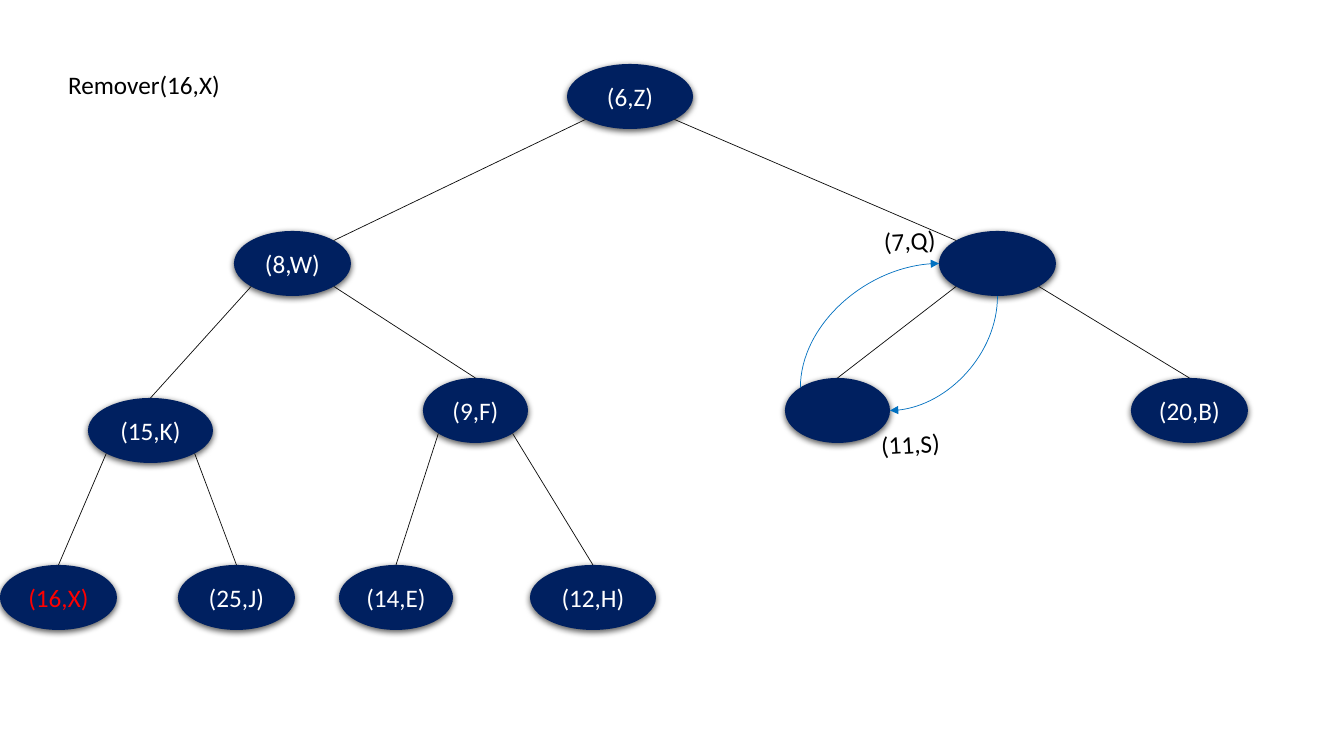
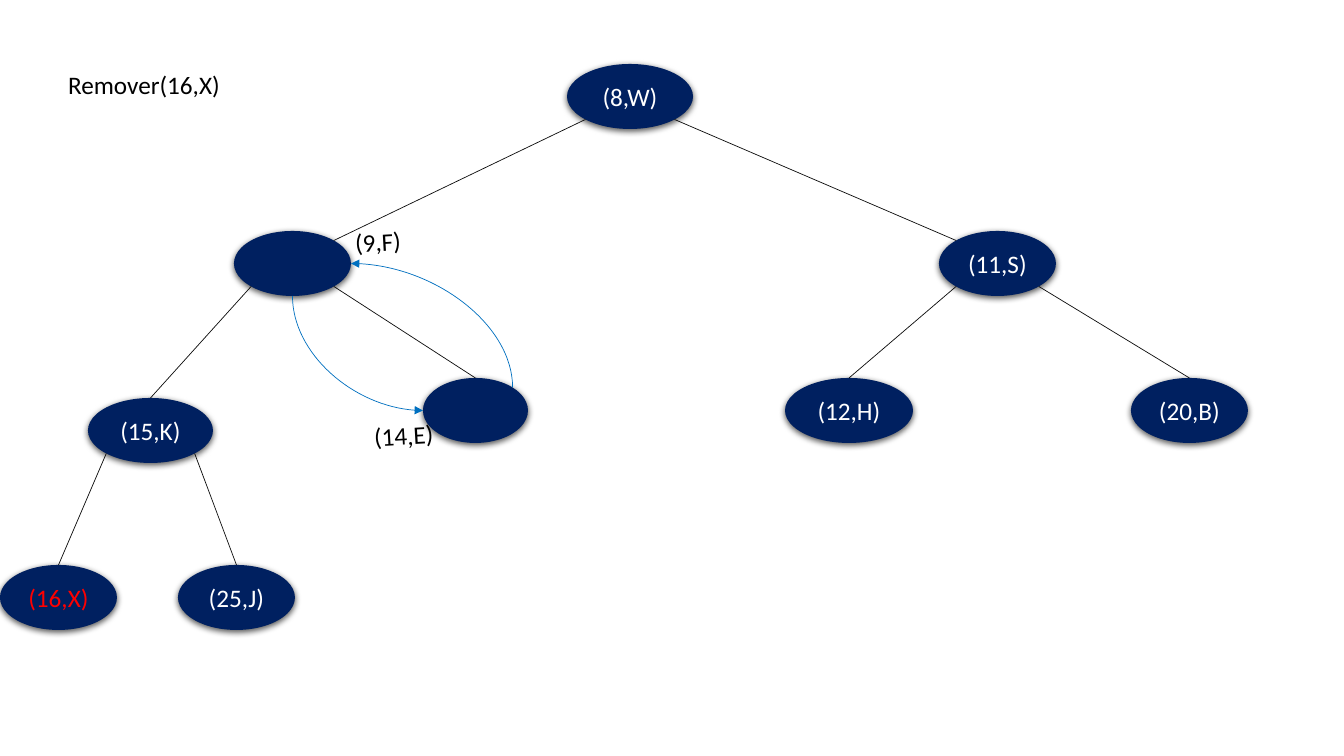
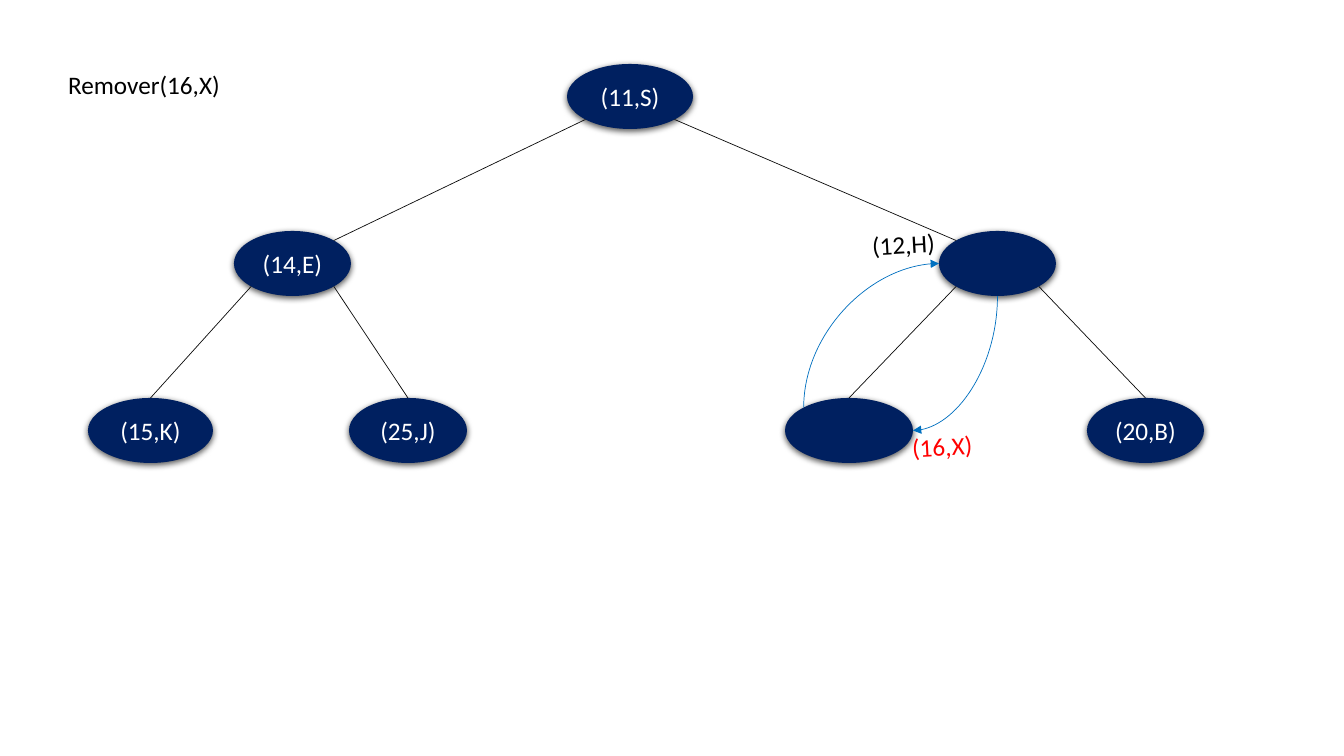
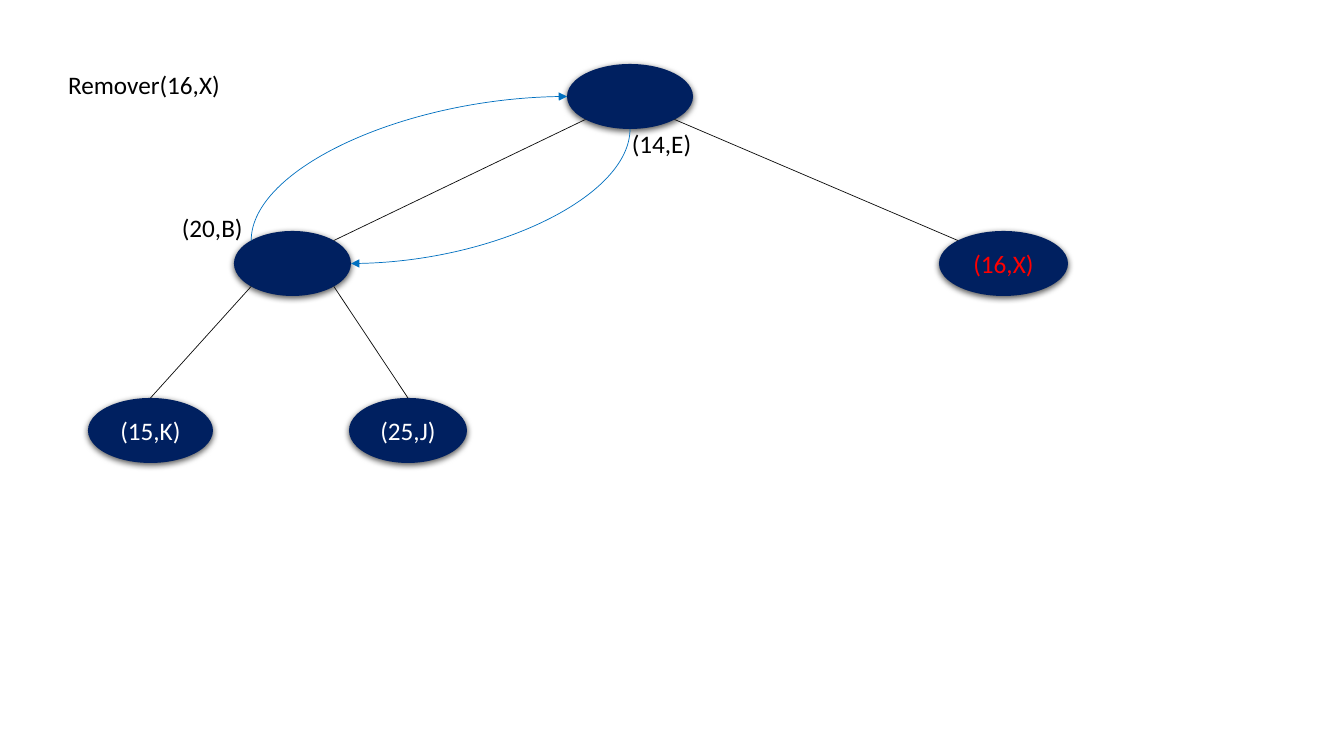
"""Four steps of removing (16,X) from a heap drawn as a binary tree."""
from math import cos, pi, sin

from lxml.etree import SubElement
from pptx import Presentation
from pptx.dml.color import RGBColor
from pptx.enum.shapes import MSO_CONNECTOR, MSO_SHAPE
from pptx.enum.text import MSO_ANCHOR, MSO_AUTO_SIZE, PP_ALIGN
from pptx.oxml.ns import qn
from pptx.util import Pt

COLORS = {"node": "002060", "node_text": "FFFFFF", "text": "000000",
          "removed": "FF0000", "edge": "0D0D0D", "swap": "0070C0"}
FONT = "Calibri"
PX = 12192000 / 1344
NODE_HEIGHT = 65
LABEL_HEIGHT = 40
REMOVED = "(16,X)"
TOP, TOP_LEFT, LEFT, BOTTOM_LEFT, BOTTOM, BOTTOM_RIGHT, RIGHT, TOP_RIGHT = range(8)

SEATS = {0: (567, 64, 126), 1: (234, 231, 117), 2: (939, 231, 117),
         3: (88, 398, 125), 4: (423, 378, 105), 5: (785, 378, 105),
         6: (1131, 378, 117), 7: (0, 565, 117), 8: (178, 565, 117),
         9: (339, 565, 114), 10: (530, 565, 126)}

STEPS = [
    {"keys": ["(6,Z)", "(8,W)", "", "(15,K)", "(9,F)", "", "(20,B)",
              "(16,X)", "(25,J)", "(14,E)", "(12,H)"],
     "moved": {}, "swapped": 5, "tilt": 356.8,
     "labels": [("(11,S)", 871, 423, 94), ("(7,Q)", 874, 220, 78)]},
    {"keys": ["(8,W)", "", "(11,S)", "(15,K)", "", "(12,H)", "(20,B)",
              "(16,X)", "(25,J)"],
     "moved": {5: (785, 378, 128)}, "swapped": 4, "tilt": 356.8,
     "labels": [("(9,F)", 345, 221, 85), ("(14,E)", 364, 415, 85)]},
    {"keys": ["(11,S)", "(14,E)", "", "(15,K)", "(25,J)", "", "(20,B)"],
     "moved": {4: (349, 398, 118), 5: (785, 398, 128), 6: (1087, 398, 117)},
     "swapped": 5, "tilt": 356.8,
     "labels": [("(16,X)", 902, 426, 85), ("(12,H)", 862, 224, 85)]},
    {"keys": ["", "", "(16,X)", "(15,K)", "(25,J)"],
     "moved": {2: (939, 231, 129), 4: (349, 398, 118)}, "swapped": 1, "tilt": 0,
     "labels": [("(20,B)", 172, 207, 85), ("(14,E)", 622, 123, 85)]},
]


def write(shape, text, color, align=PP_ALIGN.LEFT):
    shape.text_frame.text = text
    paragraph = shape.text_frame.paragraphs[0]
    paragraph.alignment = align
    for run in paragraph.runs:
        run.font.name = FONT
        run.font.size = Pt(18)
        run.font.color.rgb = RGBColor.from_string(
            COLORS["removed" if text == REMOVED else color])


def join(slide, start, start_site, end, end_site, curved=False):
    (x1, y1), (x2, y2) = [
        (node.left + node.width / 2 * (1 - sin(site * pi / 4)),
         node.top + node.height / 2 * (1 - cos(site * pi / 4)))
        for node, site in ((start, start_site), (end, end_site))]
    kind = MSO_CONNECTOR.STRAIGHT
    box = (x1, y1, x2, y2)
    if curved:
        kind = MSO_CONNECTOR.CURVE
        middle_x, middle_y = (x1 + x2) / 2, (y1 + y2) / 2
        half_w, half_h = abs(y2 - y1) / 2, abs(x2 - x1) / 2
        box = (middle_x - half_w, middle_y - half_h,
               middle_x + half_w, middle_y + half_h)
    link = slide.shapes.add_connector(kind, *[round(value) for value in box])
    link.line.width = Pt(0.5)
    link.line.color.rgb = RGBColor.from_string(COLORS["swap" if curved else "edge"])
    properties = link.element.spPr
    if curved:
        rightward, upward = x2 > x1, y2 < y1
        frame = properties.find(qn("a:xfrm"))
        frame.set("rot", "5400000" if rightward == upward else "16200000")
        frame.set("flipH", str(int(rightward)))
        frame.set("flipV", str(int(upward)))
        properties.find(qn("a:prstGeom")).set("prst", "curvedConnector2")
        SubElement(properties.find(qn("a:ln")), qn("a:tailEnd"), type="triangle")
    SubElement(properties, qn("a:effectLst"))
    ends = link.element.nvCxnSpPr.find(qn("p:cNvCxnSpPr"))
    for tag, node, site in (("a:stCxn", start, start_site), ("a:endCxn", end, end_site)):
        SubElement(ends, qn(tag), id=str(node.shape_id), idx=str(site))


deck = Presentation()
deck.slide_width = round(1344 * PX)
deck.slide_height = round(756 * PX)

for step in STEPS:
    slide = deck.slides.add_slide(deck.slide_layouts[5])
    operation = slide.shapes.title
    operation.left, operation.top, operation.width, operation.height = [
        round(value * PX) for value in (58, 64, 174, LABEL_HEIGHT)]
    write(operation, "Remover(16,X)", "text")
    operation.text_frame.word_wrap = False
    operation.text_frame.auto_size = MSO_AUTO_SIZE.NONE
    operation.text_frame.vertical_anchor = MSO_ANCHOR.TOP

    seats = {**SEATS, **step["moved"]}
    nodes = []
    for place, key in enumerate(step["keys"]):
        left, top, width = seats[place]
        node = slide.shapes.add_shape(
            MSO_SHAPE.OVAL,
            *[round(value * PX) for value in (left, top, width, NODE_HEIGHT)])
        node.fill.solid()
        node.fill.fore_color.rgb = RGBColor.from_string(COLORS["node"])
        node.line.fill.background()
        node.shadow.inherit = False
        shadow = SubElement(
            node.element.spPr.find(qn("a:effectLst")), qn("a:outerShdw"),
            blurRad=str(Pt(4.5)), dist=str(Pt(1.5)), dir="5400000", rotWithShape="0")
        shade = SubElement(shadow, qn("a:srgbClr"), val=COLORS["text"])
        SubElement(shade, qn("a:alpha"), val="63000")
        write(node, key, "node_text", PP_ALIGN.CENTER)
        node.text_frame.word_wrap = False
        node.text_frame.vertical_anchor = MSO_ANCHOR.MIDDLE
        nodes.append(node)

    for place in range(1, len(nodes)):
        on_left = place % 2 == 1
        arrival = TOP
        if place < 3:
            arrival = TOP_RIGHT if on_left else TOP_LEFT
        join(slide, nodes[(place - 1) // 2], BOTTOM_LEFT if on_left else BOTTOM_RIGHT,
             nodes[place], arrival)

    swapped = step["swapped"]
    child, parent = nodes[swapped], nodes[(swapped - 1) // 2]
    on_left = swapped % 2 == 1
    join(slide, parent, BOTTOM, child, RIGHT if on_left else LEFT, curved=True)
    join(slide, child, TOP_LEFT if on_left else TOP_RIGHT,
         parent, LEFT if on_left else RIGHT, curved=True)

    for key, left, top, width in step["labels"]:
        moving_key = slide.shapes.add_textbox(
            *[round(value * PX) for value in (left, top, width, LABEL_HEIGHT)])
        moving_key.rotation = step["tilt"]
        moving_key.text_frame.word_wrap = True
        write(moving_key, key, "text")

deck.save("out.pptx")
